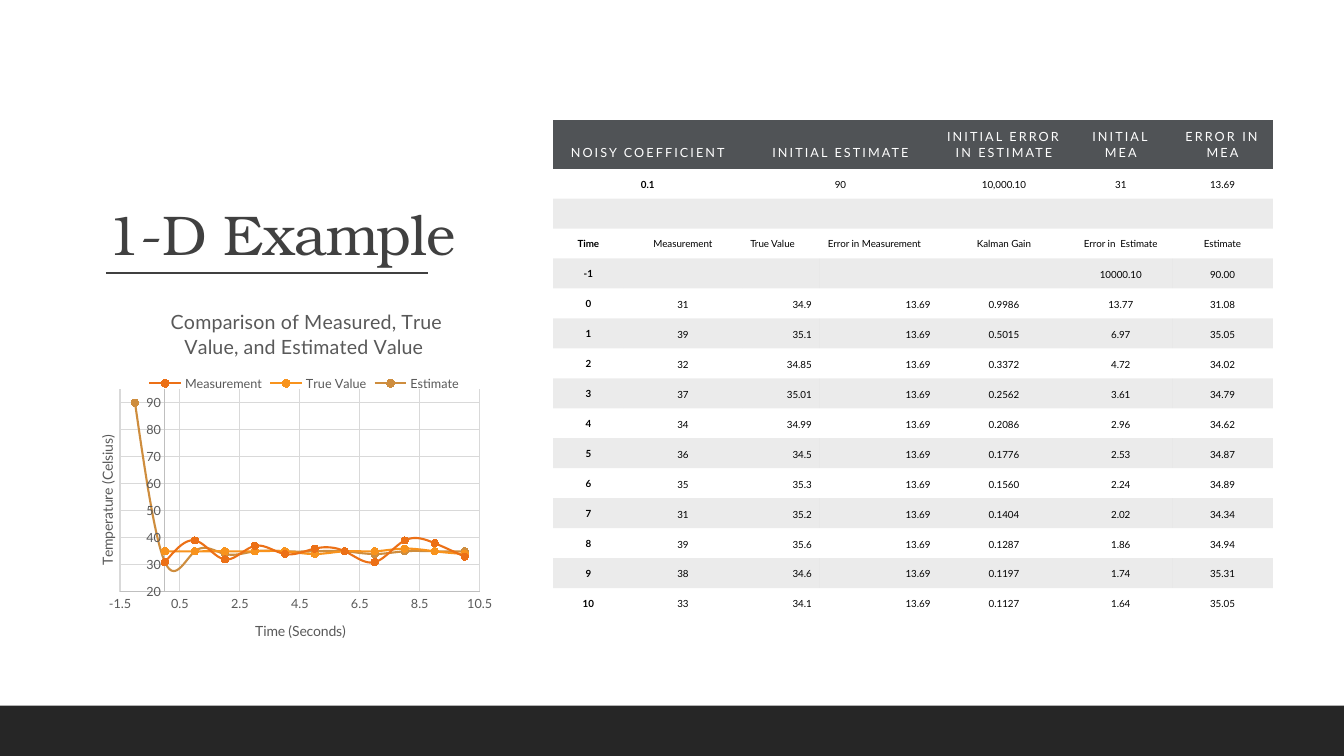
from lxml.etree import SubElement
from pptx import Presentation
from pptx.chart.data import XyChartData
from pptx.dml.color import RGBColor
from pptx.enum.chart import XL_CHART_TYPE, XL_LEGEND_POSITION, XL_MARKER_STYLE, XL_TICK_MARK
from pptx.enum.shapes import MSO_CONNECTOR, MSO_SHAPE
from pptx.enum.text import MSO_ANCHOR, MSO_AUTO_SIZE, PP_ALIGN
from pptx.oxml import parse_xml
from pptx.oxml.ns import qn
from pptx.util import Emu, Inches, Pt

COLS, ROWS = 160, 90
UNIT = Inches(7.5) / ROWS
SANS, SERIF = "Lato", "TeX Gyre Bonum"
PLAIN = "{2D5ABB26-0587-4C30-8999-92F81FD0307C}"

WIDTHS = [8.4, 14.15, 9.25, 14.15, 15.6, 12.25, 12]
HEAD = ["NOISY COEFFICIENT", "", "INITIAL ESTIMATE", "", "INITIAL ERROR IN ESTIMATE",
        "INITIAL MEA", "ERROR IN MEA"]
START = ["0.1", "", "90", "", "10,000.10", "31", "13.69"]
NAMES = ["Time", "Measurement", "True Value", "Error in Measurement", "Kalman Gain",
         "Error in  Estimate", "Estimate"]
STEPS = [
    ["-1", "", "", "", "", "10000.10", "90.00"],
    ["0", "31", "34.9", "13.69", "0.9986", "13.77", "31.08"],
    ["1", "39", "35.1", "13.69", "0.5015", "6.97", "35.05"],
    ["2", "32", "34.85", "13.69", "0.3372", "4.72", "34.02"],
    ["3", "37", "35.01", "13.69", "0.2562", "3.61", "34.79"],
    ["4", "34", "34.99", "13.69", "0.2086", "2.96", "34.62"],
    ["5", "36", "34.5", "13.69", "0.1776", "2.53", "34.87"],
    ["6", "35", "35.3", "13.69", "0.1560", "2.24", "34.89"],
    ["7", "31", "35.2", "13.69", "0.1404", "2.02", "34.34"],
    ["8", "39", "35.6", "13.69", "0.1287", "1.86", "34.94"],
    ["9", "38", "34.6", "13.69", "0.1197", "1.74", "35.31"],
    ["10", "33", "34.1", "13.69", "0.1127", "1.64", "35.05"],
]
GRID = [HEAD, START, [""] * 7, NAMES] + STEPS
LINES = {"Measurement": "EC7016", "True Value": "F8931D", "Estimate": "CE8D3E"}


def ink(code):
    return RGBColor.from_string(code)


def span(*cells):
    return [Emu(round(n * UNIT)) for n in cells]


def style(font, size, hue, face=SANS, bold=False):
    font.size, font.name, font.bold = Pt(size), face, bold
    font.color.rgb = ink(hue)


def put(frame, text, size=9, hue="595959", face=SANS, bold=False, align=None, lead=None, space=0):
    para = frame.paragraphs[0]
    para.alignment, para.line_spacing = align, lead
    if not text:
        SubElement(para._p, qn("a:endParaRPr"), sz=str(size * 100))
        return
    run = para.add_run()
    run.text = text
    style(run.font, size, hue, face, bold)
    run.font._element.set("spc", str(round(space * 100)))


def add_title(slide, box):
    left, top, width, height = box
    title = slide.shapes.title
    title.left, title.top, title.width, title.height = span(*box)
    frame = title.text_frame
    frame.word_wrap, frame.auto_size = True, MSO_AUTO_SIZE.NONE
    frame.vertical_anchor = MSO_ANCHOR.BOTTOM
    put(frame, "1-D Example", size=40, hue="404040", face=SERIF, align=PP_ALIGN.LEFT,
        lead=0.9, space=-0.5)
    base = top + height
    rule = slide.shapes.add_connector(
        MSO_CONNECTOR.STRAIGHT, *span(left + 1.1, base, left + 39.5, base))
    rule.line.color.rgb, rule.line.width = ink("404040"), Pt(1)
    SubElement(rule._element.spPr, qn("a:effectLst"))


def add_panel(slide, box, hue):
    panel = slide.shapes.add_shape(MSO_SHAPE.RECTANGLE, *span(*box))
    panel.shadow.inherit = False
    panel.fill.solid()
    panel.fill.fore_color.rgb = ink(hue)
    panel.line.fill.background()
    return panel


def add_back(slide, box):
    panel = add_panel(slide, box, "FFFFFF")
    slide.shapes._spTree.insert(2, panel._element)


def shade(cell, row):
    if row % 2:
        cell.fill.background()
        return
    cell.fill.solid()
    cell.fill.fore_color.rgb = ink("000000" if row else "505356")
    if row:
        tint = cell._tc.tcPr.find(".//" + qn("a:srgbClr"))
        SubElement(tint, qn("a:alpha"), val="8000")


def fill_cell(cell, text, row, col):
    shade(cell, row)
    cell.margin_left = cell.margin_right = cell.margin_top = cell.margin_bottom = Inches(0.08)
    mid = row == 3 or row > 3 and col == 0 or row == 4 and col < 5
    cell.vertical_anchor = MSO_ANCHOR.MIDDLE if mid else MSO_ANCHOR.BOTTOM
    align = PP_ALIGN.CENTER
    if col in (2, 3) and row > 2:
        align = PP_ALIGN.LEFT if row == 3 else PP_ALIGN.RIGHT
    look = dict(size=7, hue="000000", bold=col == 0) if row else dict(hue="FFFFFF", space=1.5)
    put(cell.text_frame, text, align=align, lead=1.07, **look)


def add_grid(slide, box):
    width, height = box[2:]
    shape = slide.shapes.add_table(len(GRID), len(WIDTHS), *span(*box))
    table = shape.table
    table.first_row = table.horz_banding = False
    table._tbl.tblPr.find(qn("a:tableStyleId")).text = PLAIN
    for col, share in zip(table.columns, WIDTHS):
        col.width = span(width * share / sum(WIDTHS))[0]
    top = 5.6
    for i, row in enumerate(table.rows):
        row.height = span((height - top) / (len(GRID) - 1) if i else top)[0]
    for i, texts in enumerate(GRID):
        for j, text in enumerate(texts):
            fill_cell(table.cell(i, j), text, i, j)
    for row, first, last in [(0, 0, 1), (0, 2, 3), (1, 0, 1), (1, 2, 3), (2, 0, 6)]:
        table.cell(row, first).merge(table.cell(row, last))


def set_axis(axis, text, low, high, step):
    axis.minimum_scale, axis.maximum_scale, axis.major_unit = low, high, step
    axis.major_tick_mark = axis.minor_tick_mark = XL_TICK_MARK.NONE
    axis.has_major_gridlines = True
    for line, hue in [(axis.format.line, "BFBFBF"), (axis.major_gridlines.format.line, "D9D9D9")]:
        line.color.rgb, line.width = ink(hue), Pt(0.75)
    style(axis.tick_labels.font, 9, "595959")
    put(axis.axis_title.text_frame, text, size=10)


def set_plot(chart, x, y, w, h):
    area = chart.element.find(".//" + qn("c:plotArea"))
    for old in area.findall(qn("c:layout")):
        area.remove(old)
    parts = "".join(f'<c:{k} val="{v}"/>' for k, v in [
        ("layoutTarget", "inner"), ("xMode", "edge"), ("yMode", "edge"),
        ("x", x), ("y", y), ("w", w), ("h", h)])
    area.insert(0, parse_xml(
        '<c:layout xmlns:c="http://schemas.openxmlformats.org/drawingml/2006/chart">'
        f"<c:manualLayout>{parts}</c:manualLayout></c:layout>"))


def add_plot(slide, box):
    data = XyChartData()
    for name in LINES:
        col = NAMES.index(name)
        series = data.add_series(name)
        for step in STEPS:
            series.add_data_point(int(step[0]), round(float(step[col])) if step[col] else None)
    chart = slide.shapes.add_chart(XL_CHART_TYPE.XY_SCATTER_SMOOTH, *span(*box), data).chart
    style(chart.font, 10, "000000")
    put(chart.chart_title.text_frame, " Comparison of Measured, True Value, and Estimated Value",
        size=14)
    chart.has_legend = True
    chart.legend.position, chart.legend.include_in_layout = XL_LEGEND_POSITION.TOP, False
    style(chart.legend.font, 9, "595959")
    set_axis(chart.category_axis, "Time (Seconds)", -1.5, 10.5, 2)
    set_axis(chart.value_axis, "Temperature (Celsius)", 20, 95, 10)
    turn = chart.value_axis.axis_title.text_frame._txBody.bodyPr
    turn.set("rot", "-5400000")
    turn.set("vert", "horz")
    chart.plots[0].vary_by_categories = False
    for series, hue in zip(chart.plots[0].series, LINES.values()):
        series.format.line.color.rgb, series.format.line.width = ink(hue), Pt(1.5)
        mark = series.marker
        mark.style, mark.size = XL_MARKER_STYLE.CIRCLE, 5
        mark.format.fill.solid()
        mark.format.fill.fore_color.rgb = mark.format.line.color.rgb = ink(hue)
    for node in chart.element.iter(qn("c:smooth")):
        node.set("val", "1")
    set_plot(chart, 0.06, 0.27, 0.86, 0.56)


def main():
    deck = Presentation()
    deck.slide_width, deck.slide_height = span(COLS, ROWS)
    slide = deck.slides.add_slide(deck.slide_layouts[5])
    add_back(slide, (0, 0, COLS, ROWS))
    add_title(slide, (11.5, 8.4, 49.6, 24.1))
    add_panel(slide, (0, 84, COLS, 6), "262626")
    add_grid(slide, (65.85, 14.3, 85.7, 59.16))
    add_plot(slide, (11.3, 34.7, 49.8, 43.1))
    deck.save("out.pptx")


if __name__ == "__main__":
    main()
